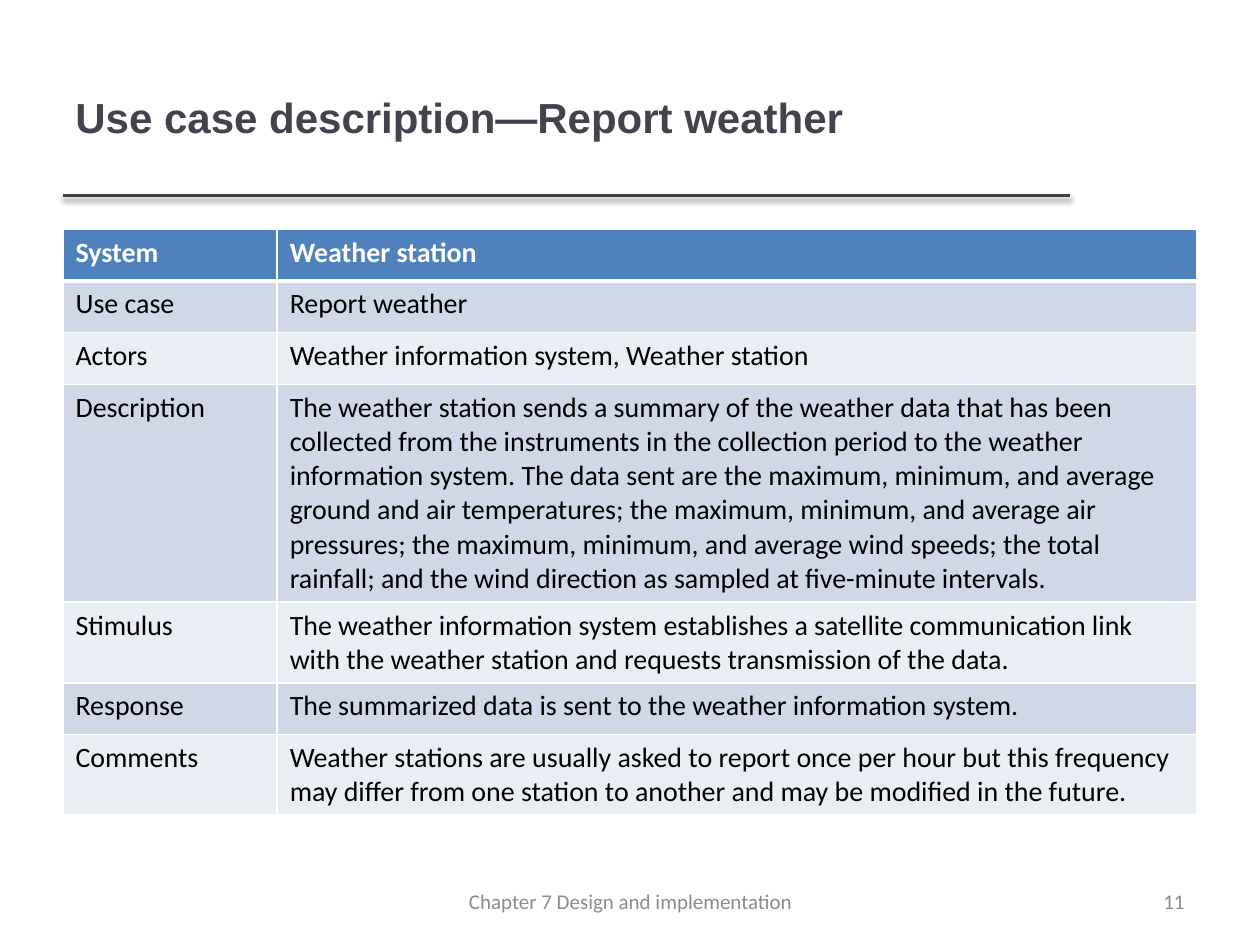
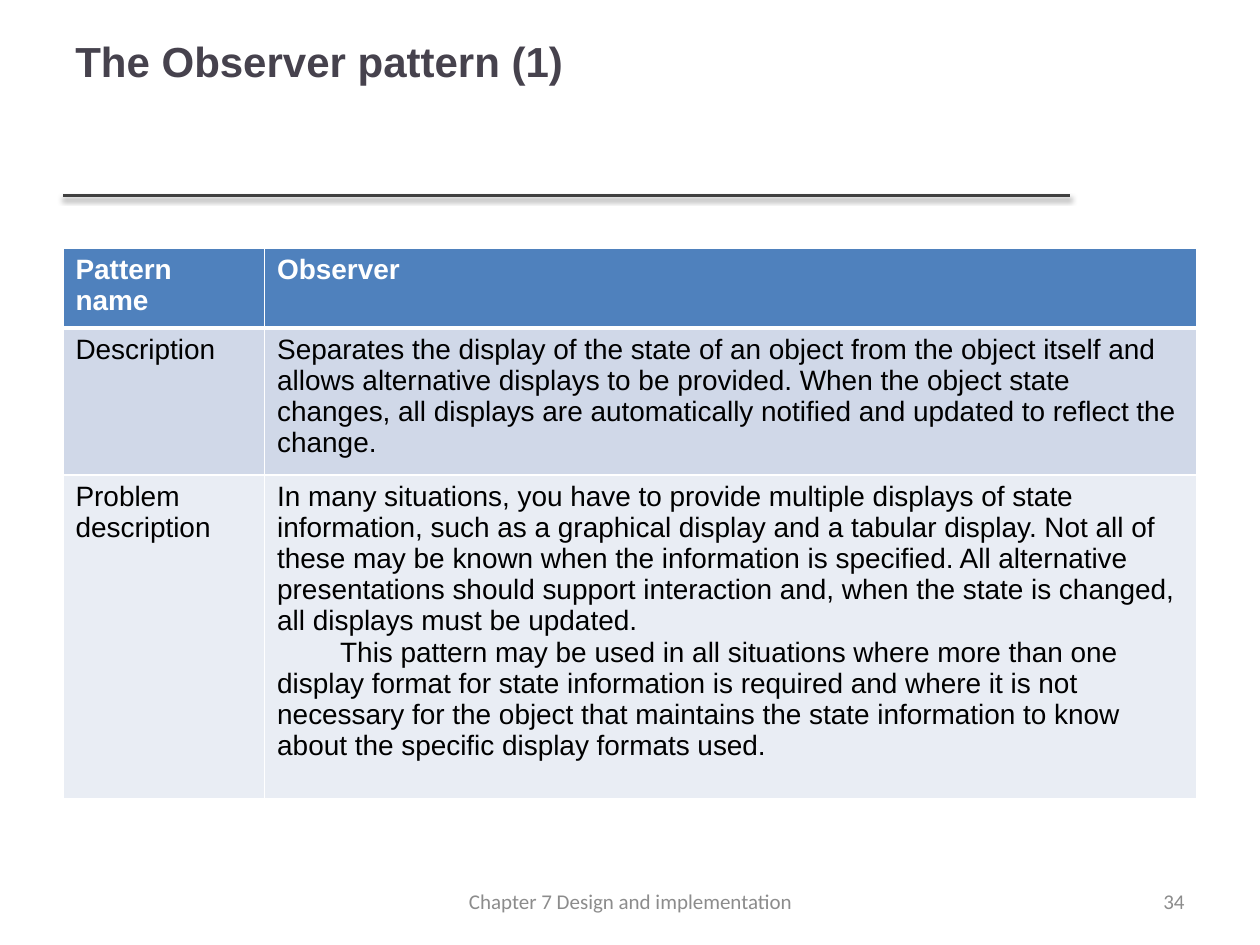
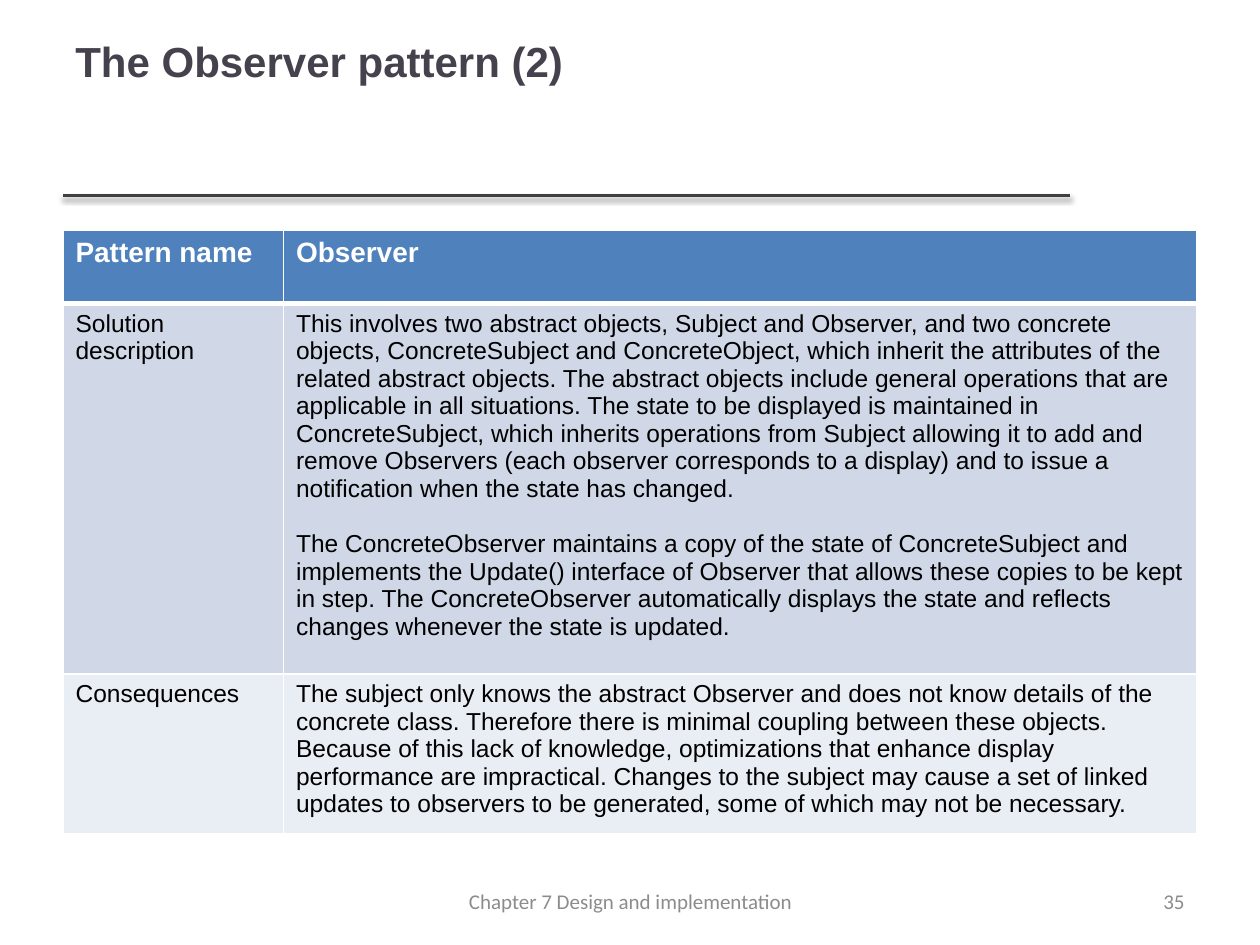
from dataclasses import dataclass

from lxml import etree
from pptx import Presentation
from pptx.dml.color import RGBColor
from pptx.enum.shapes import MSO_CONNECTOR
from pptx.enum.text import MSO_ANCHOR, PP_ALIGN
from pptx.oxml.ns import qn
from pptx.util import Inches, Pt

STRAIGHT = MSO_CONNECTOR.STRAIGHT
MIDDLE = MSO_ANCHOR.MIDDLE
LEFT, CENTER, RIGHT = PP_ALIGN.LEFT, PP_ALIGN.CENTER, PP_ALIGN.RIGHT


@dataclass(frozen=True)
class Theme:
    title: str = "46424D"
    rule: str = "404040"
    footer: str = "8C8C8C"
    header: str = "4F81BD"
    bands: tuple = ("D0D8E8", "E9EDF4")
    white: str = "FFFFFF"
    black: str = "000000"
    heading_font: str = "Arial"
    body_font: str = "Calibri"
    title_size: int = 24
    header_size: int = 16
    footer_size: int = 12
    thin: int = 1
    thick: int = 3


THEME = Theme()
MARGIN = 0.5
TABLE_WIDTH = 9
FOOTER = "Chapter 7 Design and implementation"

SLIDES = [
    {
        "title": "Use case description\u2014Report weather",
        "title_box": (0.3, 7.98),
        "number": 11,
        "top": 1.82,
        "label_width": 1.7,
        "heights": [0.41, 0.41, 0.41, 1.73, 0.64, 0.41, 0.64],
        "font": THEME.body_font,
        "size": 16,
        "rows": [
            ("System", ["Weather station"]),
            ("Use case", ["Report weather"]),
            ("Actors", ["Weather information system, Weather station"]),
            ("Description", [
                "The weather station sends a summary of the weather data that has been "
                "collected from the instruments in the collection period to the weather "
                "information system. The data sent are the maximum, minimum, and average "
                "ground and air temperatures; the maximum, minimum, and average air "
                "pressures; the maximum, minimum, and average wind speeds; the total "
                "rainfall; and the wind direction as sampled at five-minute intervals."]),
            ("Stimulus", [
                "The weather information system establishes a satellite communication link "
                "with the weather station and requests transmission of the data."]),
            ("Response", [
                "The summarized data is sent to the weather information system."]),
            ("Comments", [
                "Weather stations are usually asked to report once per hour but this frequency "
                "may differ from one station to another and may be modified in the future."]),
        ],
    },
    {
        "title": "The Observer pattern (1)",
        "title_box": (-0.14, 9),
        "number": 34,
        "top": 1.97,
        "label_width": 1.6,
        "heights": [0.58, 1.09, 2.57],
        "font": THEME.heading_font,
        "size": 16,
        "indent": 0.5,
        "rows": [
            ("Pattern name", ["Observer"]),
            ("Description", [
                "Separates the display of the state of an object from the object itself and "
                "allows alternative displays to be provided. When the object state changes, "
                "all displays are automatically notified and updated to reflect the change."]),
            ("Problem description", [
                "In many situations, you have to provide multiple displays of state "
                "information, such as a graphical display and a tabular display. Not all of "
                "these may be known when the information is specified. All alternative "
                "presentations should support interaction and, when the state is changed, "
                "all displays must be updated.",
                "This pattern may be used in all situations where more than one display "
                "format for state information is required and where it is not necessary for "
                "the object that maintains the state information to know about the specific "
                "display formats used."]),
        ],
    },
    {
        "title": "The Observer pattern (2)",
        "title_box": (-0.14, 9),
        "number": 35,
        "top": 1.83,
        "label_width": 1.75,
        "heights": [0.58, 2.94, 1.19],
        "font": THEME.heading_font,
        "size": 14,
        "gap": 16,
        "rows": [
            ("Pattern name", ["Observer"]),
            ("Solution description", [
                "This involves two abstract objects, Subject and Observer, and two concrete "
                "objects, ConcreteSubject and ConcreteObject, which inherit the attributes of "
                "the related abstract objects. The abstract objects include general operations "
                "that are applicable in all situations. The state to be displayed is maintained "
                "in ConcreteSubject, which inherits operations from Subject allowing it to add "
                "and remove Observers (each observer corresponds to a display) and to issue a "
                "notification when the state has changed.",
                "The ConcreteObserver maintains a copy of the state of ConcreteSubject and "
                "implements the Update() interface of Observer that allows these copies to be "
                "kept in step. The ConcreteObserver automatically displays the state and "
                "reflects changes whenever the state is updated."]),
            ("Consequences", [
                "The subject only knows the abstract Observer and does not know details of the "
                "concrete class. Therefore there is minimal coupling between these objects. "
                "Because of this lack of knowledge, optimizations that enhance display "
                "performance are impractical. Changes to the subject may cause a set of linked "
                "updates to observers to be generated, some of which may not be necessary."]),
        ],
    },
]


def style(p, font, size, color, bold=False):
    for r in p.runs:
        r.font.name = font
        r.font.size = Pt(size)
        r.font.bold = bold
        r.font.color.rgb = RGBColor.from_string(color)


def add_text(s, box, text, font, size, color, align=LEFT, bold=False):
    tf = s.shapes.add_textbox(*map(Inches, box)).text_frame
    tf.word_wrap = True
    tf.vertical_anchor = MIDDLE
    p = tf.paragraphs[0]
    p.text = text
    p.alignment = align
    style(p, font, size, color, bold)


def add_color(parent, color):
    return etree.SubElement(parent, qn("a:srgbClr"), val=color)


def add_rule(s):
    line = s.shapes.add_connector(STRAIGHT, *map(Inches, (MARGIN, 1.55, 8.49, 1.55)))
    line.line.color.rgb = RGBColor.from_string(THEME.rule)
    line.line.width = Pt(2)
    effects = etree.SubElement(line._element.spPr, qn("a:effectLst"))
    shadow = etree.SubElement(effects, qn("a:outerShdw"), blurRad=str(Pt(3.15)),
                              dist=str(Pt(1.57)), dir="5400000", rotWithShape="0")
    etree.SubElement(add_color(shadow, THEME.black), qn("a:alpha"), val="38000")


def set_borders(cell, top, bottom):
    tc_pr = cell._tc.get_or_add_tcPr()
    widths = {"lnL": THEME.thin, "lnR": THEME.thin, "lnT": top, "lnB": bottom}
    for side, width in widths.items():
        ln = etree.SubElement(tc_pr, qn("a:" + side), w=str(Pt(width)))
        add_color(etree.SubElement(ln, qn("a:solidFill")), THEME.white)


def fill_cell(cell, row, paragraphs, spec):
    is_header = row == 0
    set_borders(cell, THEME.thick if row == 1 else THEME.thin,
                THEME.thick if is_header else THEME.thin)
    cell.fill.solid()
    color = THEME.header if is_header else THEME.bands[(row - 1) % 2]
    cell.fill.fore_color.rgb = RGBColor.from_string(color)
    tf = cell.text_frame
    for i, text in enumerate(paragraphs):
        p = tf.add_paragraph() if i else tf.paragraphs[0]
        p.text = text
        if i:
            p.space_before = Pt(spec.get("gap", 0))
            p._p.get_or_add_pPr().set("indent", str(Inches(spec.get("indent", 0))))
        style(p, spec["font"], THEME.header_size if is_header else spec["size"],
              THEME.white if is_header else THEME.black, is_header)


def add_description_table(s, spec):
    rows, heights = spec["rows"], spec["heights"]
    box = (MARGIN, spec["top"], TABLE_WIDTH, sum(heights))
    table = s.shapes.add_table(len(rows), 2, *map(Inches, box)).table
    table.horz_banding = False
    label_width = spec["label_width"]
    for column, width in zip(table.columns, (label_width, TABLE_WIDTH - label_width)):
        column.width = Inches(width)
    for i, (label, paragraphs) in enumerate(rows):
        table.rows[i].height = Inches(heights[i])
        fill_cell(table.cell(i, 0), i, [label], spec)
        fill_cell(table.cell(i, 1), i, paragraphs, spec)


def add_slide(prs, spec):
    s = prs.slides.add_slide(prs.slide_layouts[6])
    add_rule(s)
    top, width = spec["title_box"]
    add_text(s, (MARGIN, top, width, 1.25), spec["title"], THEME.heading_font,
             THEME.title_size, THEME.title, bold=True)
    add_description_table(s, spec)
    footers = [(7.17, 2.33, str(spec["number"]), RIGHT), (3.42, 3.17, FOOTER, CENTER)]
    for left, width, text, align in footers:
        add_text(s, (left, 6.95, width, 0.4), text, THEME.body_font,
                 THEME.footer_size, THEME.footer, align)


prs = Presentation()
prs.slide_width, prs.slide_height = Inches(10), Inches(7.5)
for slide_spec in SLIDES:
    add_slide(prs, slide_spec)
prs.save("out.pptx")
